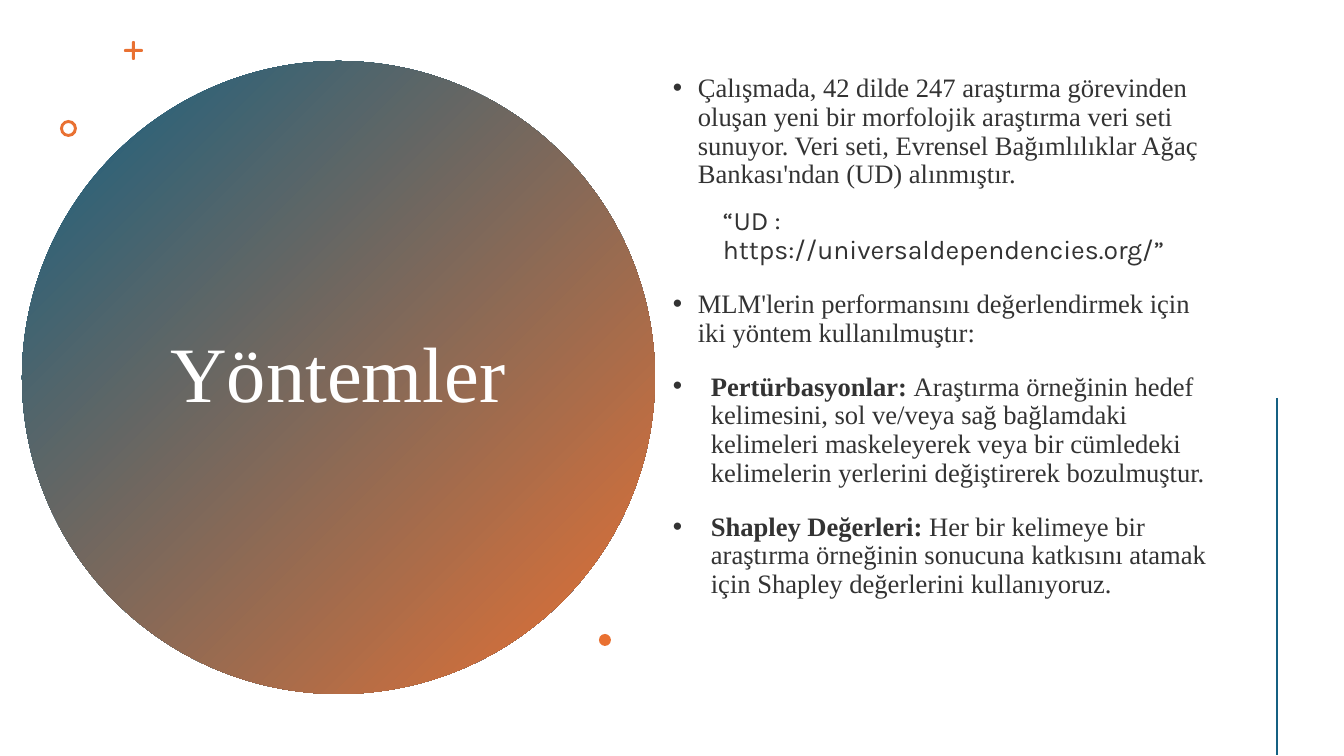
from dataclasses import dataclass
from math import cos, pi, sin

from lxml.etree import SubElement
from pptx import Presentation
from pptx.dml.color import RGBColor
from pptx.enum.shapes import MSO_CONNECTOR, MSO_SHAPE
from pptx.enum.text import MSO_ANCHOR, MSO_AUTO_SIZE, PP_ALIGN
from pptx.oxml.ns import qn
from pptx.util import Emu, Pt

SLIDE_W, SLIDE_H = 1344, 756


@dataclass(frozen=True)
class Theme:
    """Colours, fonts and sizes of the slide."""

    blue: RGBColor = RGBColor(0x15, 0x60, 0x82)
    orange: RGBColor = RGBColor(0xE9, 0x71, 0x32)
    white: RGBColor = RGBColor(0xFF, 0xFF, 0xFF)
    ink: RGBColor = RGBColor(0x33, 0x33, 0x33)
    serif: str = "Times New Roman"
    sans: str = "Karla"
    title_size: int = 56
    body_size: int = 19
    line_spacing: float = 0.9


def px(n):
    """Turn pixels into EMU."""
    return Emu(round(n * 12192000 / SLIDE_W))


class SlideBuilder:
    """Draws styled elements on one slide."""

    def __init__(self, slide, theme):
        self.s, self.t = slide, theme

    def shape(self, kind, x, y, w, h):
        """Add an orange preset shape without outline."""
        sp = self.s.shapes.add_shape(kind, px(x), px(y), px(w), px(h))
        return self.paint(sp)

    def paint(self, sp):
        """Give a shape the flat orange style."""
        sp.shadow.inherit = False
        sp.fill.solid()
        sp.fill.fore_color.rgb = self.t.orange
        sp.line.fill.background()
        return sp

    def gradient_circle(self, x, y, d):
        """Add the large circle fading from blue to orange."""
        fill = self.shape(MSO_SHAPE.OVAL, x, y, d, d).fill
        fill.gradient()
        fill.gradient_angle = 315
        for stop, colour in zip(fill.gradient_stops, (self.t.blue, self.t.orange)):
            stop.color.rgb = colour

    def ring(self, x, y, d, thickness):
        """Add a ring of the given thickness."""
        self.shape(MSO_SHAPE.DONUT, x, y, d, d).adjustments[0] = thickness / d

    def plus(self, x, y, size, thickness, steps=8):
        """Add a plus sign with round arm ends."""
        unit = 100
        half, r = size * unit / 2, thickness * unit / 2
        cx, cy = x * unit + half, y * unit + half
        points = []
        for arm in range(4):
            a = arm * pi / 2
            outline = [(r, -r)] + [
                (half - r + r * cos(b), r * sin(b))
                for b in (-pi / 2 + pi * i / steps for i in range(steps + 1))
            ]
            points += [
                (cx + u * cos(a) - v * sin(a), cy + u * sin(a) + v * cos(a))
                for u, v in outline
            ]
        fb = self.s.shapes.build_freeform(*points[0], scale=px(1) / unit)
        fb.add_line_segments(points[1:], close=True)
        self.paint(fb.convert_to_shape())

    def line(self, x1, y1, x2, y2):
        """Add a blue line."""
        cn = self.s.shapes.add_connector(
            MSO_CONNECTOR.STRAIGHT, px(x1), px(y1), px(x2), px(y2))
        cn.line.color.rgb, cn.line.width = self.t.blue, Pt(2)
        SubElement(cn._element.spPr, qn("a:effectLst"))

    def run(self, p, text, size, font, colour, bold=False):
        """Add one styled run."""
        r = p.add_run()
        r.text = text
        r.font.size, r.font.name, r.font.bold = Pt(size), font, bold
        r.font.color.rgb = colour

    def title(self, x, y, w, h, text):
        """Place the title above the shapes drawn so far."""
        sp = self.s.shapes.title
        self.s.shapes._spTree.append(sp._element)
        sp.left, sp.top, sp.width, sp.height = map(px, (x, y, w, h))
        tf = sp.text_frame
        tf.word_wrap, tf.auto_size = True, MSO_AUTO_SIZE.NONE
        tf.vertical_anchor = MSO_ANCHOR.MIDDLE
        p = tf.paragraphs[0]
        p.alignment, p.line_spacing = PP_ALIGN.CENTER, self.t.line_spacing
        self.run(p, text, self.t.title_size, self.t.serif, self.t.white)

    def body(self, x, y, w, h, bottom_inset, paragraphs):
        """Add the text box of bulleted and plain paragraphs."""
        tf = self.s.shapes.add_textbox(px(x), px(y), px(w), px(h)).text_frame
        tf.word_wrap, tf.auto_size = True, MSO_AUTO_SIZE.NONE
        tf.vertical_anchor, tf.margin_bottom = MSO_ANCHOR.MIDDLE, px(bottom_inset)
        for i, (indent, bullet, font, runs) in enumerate(paragraphs):
            p = tf.add_paragraph() if i else tf.paragraphs[0]
            p.line_spacing = self.t.line_spacing
            p.space_before, p.space_after = Pt(10 if bullet else 5), Pt(8)
            pPr = p._p.get_or_add_pPr()
            pPr.set("marL", str(px(indent)))
            pPr.set("indent", str(-px(indent) if bullet else 0))
            if bullet:
                SubElement(pPr, qn("a:buFont")).set("typeface", "Arial")
                SubElement(pPr, qn("a:buChar")).set("char", "•")
            else:
                p.level = 1
                SubElement(pPr, qn("a:buNone"))
            for text, bold in runs:
                self.run(p, text, self.t.body_size, font, self.t.ink, bold)


def main():
    """Build the slide and save it."""
    prs = Presentation()
    prs.slide_width, prs.slide_height = px(SLIDE_W), px(SLIDE_H)
    t = Theme()
    b = SlideBuilder(prs.slides.add_slide(prs.slide_layouts[5]), t)

    b.gradient_circle(22, 61, 633)
    b.title(137, 142, 402, 471, "Yöntemler")
    b.plus(124, 41, 19, 3)
    b.ring(60, 120, 17, 3)
    b.body(663, 57, 556, 643, 88, [
        (25, True, t.serif, [(
            "Çalışmada, 42 dilde 247 araştırma görevinden oluşan yeni bir "
            "morfolojik araştırma veri seti sunuyor. Veri seti, Evrensel "
            "Bağımlılıklar Ağaç Bankası'ndan (UD) alınmıştır.", False)]),
        (50, False, t.sans, [("“UD : https://universaldependencies.org/”", False)]),
        (25, True, t.serif, [(
            "MLM'lerin performansını değerlendirmek için iki yöntem "
            "kullanılmuştır:", False)]),
        (38, True, t.serif, [
            ("Pertürbasyonlar: ", True),
            ("Araştırma örneğinin hedef kelimesini, sol ve/veya sağ bağlamdaki "
             "kelimeleri maskeleyerek veya bir cümledeki kelimelerin yerlerini "
             "değiştirerek bozulmuştur.", False)]),
        (38, True, t.serif, [
            ("Shapley Değerleri:", True),
            (" Her bir kelimeye bir araştırma örneğinin sonucuna katkısını "
             "atamak için Shapley değerlerini kullanıyoruz.", False)]),
    ])
    b.shape(MSO_SHAPE.OVAL, 599, 634, 12, 12)
    b.line(1277, 398, 1277, 755)
    prs.save("out.pptx")


if __name__ == "__main__":
    main()
